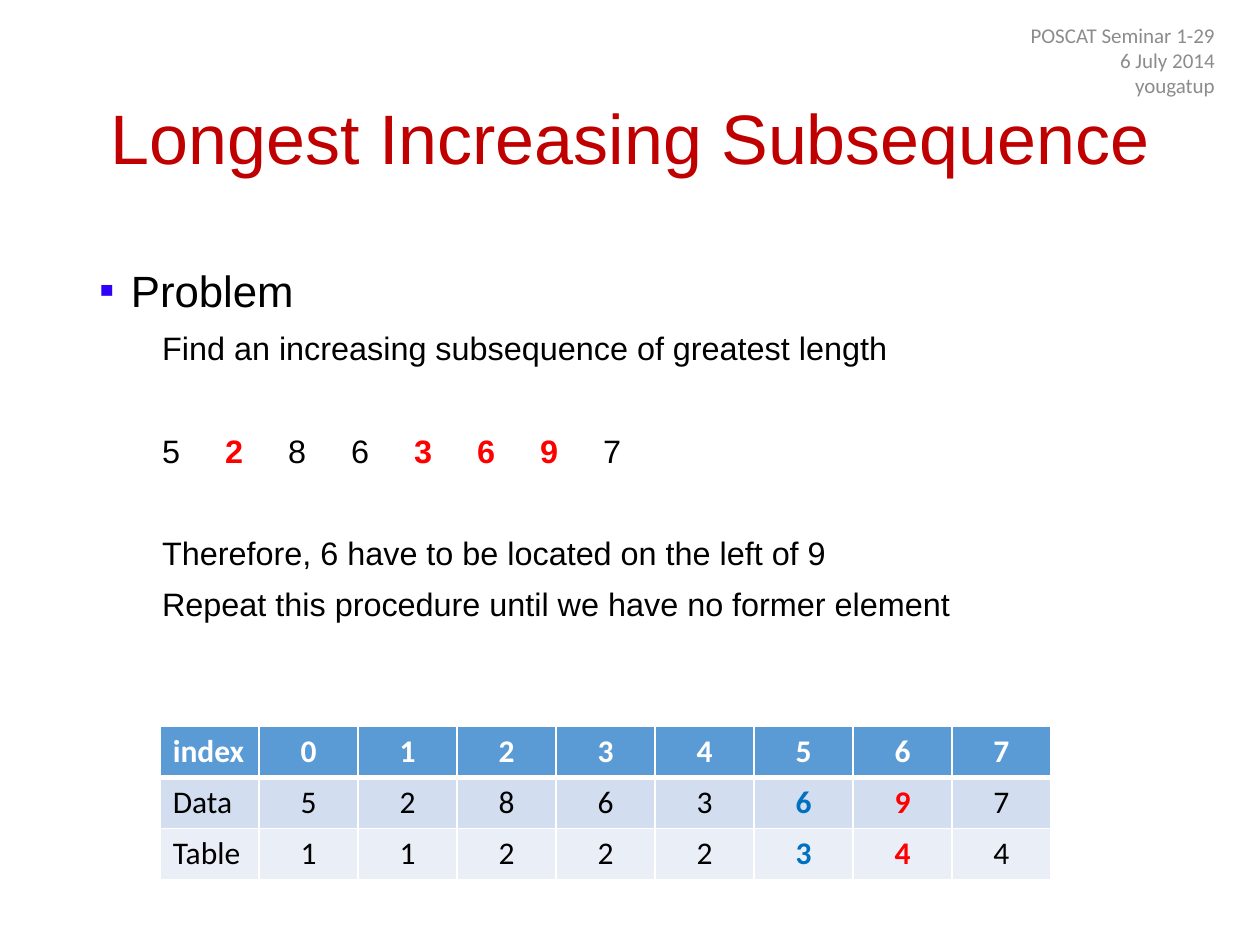
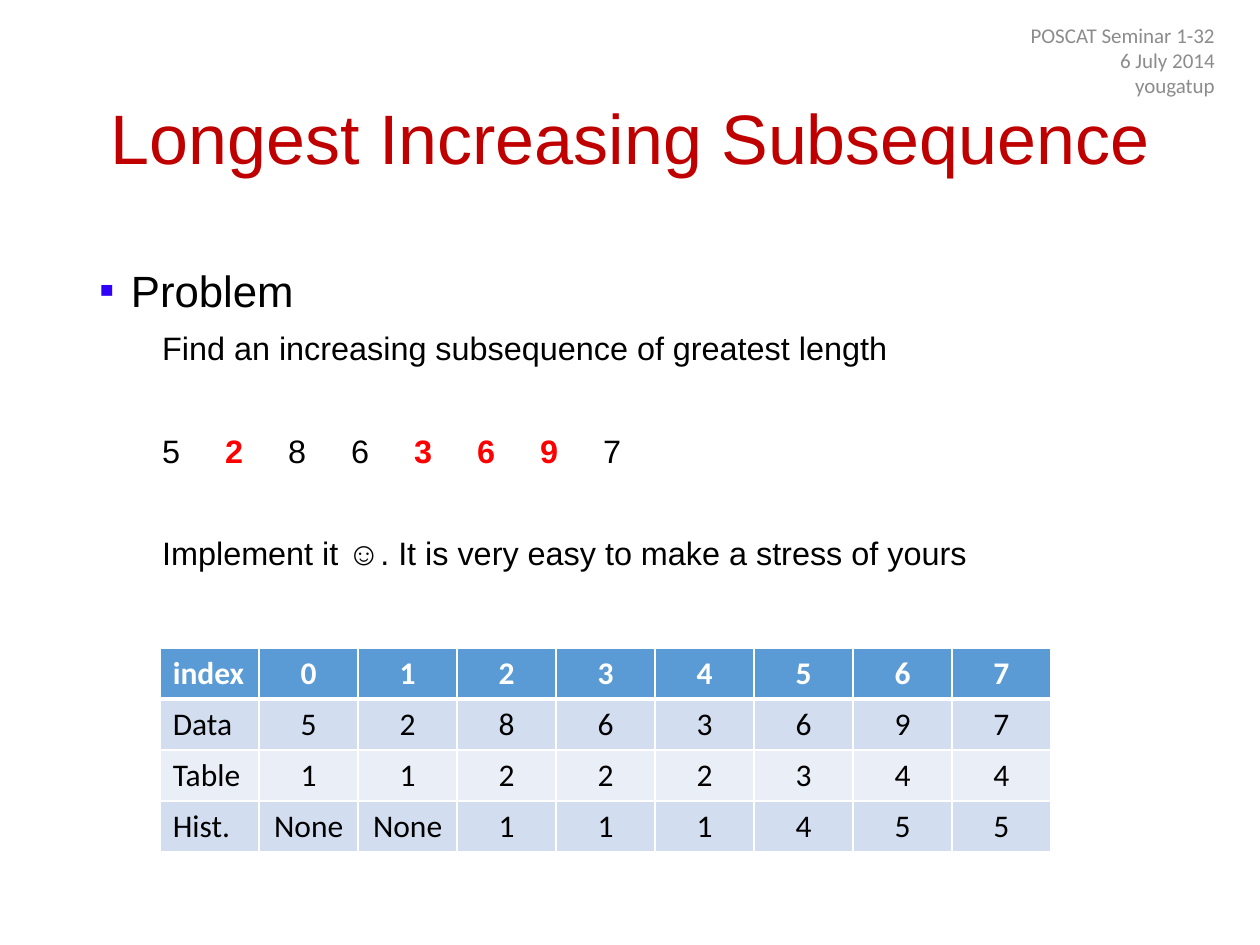
from lxml import etree
from pptx import Presentation
from pptx.dml.color import RGBColor
from pptx.enum.text import MSO_ANCHOR, PP_ALIGN
from pptx.oxml.ns import qn
from pptx.util import Cm, Pt

LEFT, CENTER, RIGHT = PP_ALIGN.LEFT, PP_ALIGN.CENTER, PP_ALIGN.RIGHT
TOP, MIDDLE = MSO_ANCHOR.TOP, MSO_ANCHOR.MIDDLE

# Content
TITLE = "Longest Increasing Subsequence"
HEADING = "Problem"
TASK = "Find an increasing subsequence of greatest length"
SEQUENCE = [5, 2, 8, 6, 3, 6, 9, 7]
CHOSEN = {1, 4, 5, 6}  # positions of the longest subsequence
LENGTHS = [1, 1, 2, 2, 2, 3, 4, 4]
HISTORY = [None, None, 1, 1, 1, 4, 5, 5]
BASE_ROWS = [
    ["index", *range(len(SEQUENCE))],
    ["Data", *SEQUENCE],
    ["Table", *LENGTHS],
]
SLIDES = [
    {
        "number": "1-29",
        "remarks": ["Therefore, 6 have to be located on the left of 9",
                    "Repeat this procedure until we have no former element"],
        "rows": BASE_ROWS,
        "marked_columns": {6: "blue", 7: "red"},
        "table_top": 14.64,
    },
    {
        "number": "1-32",
        "remarks": ["Implement it ☺. It is very easy to make a stress of yours"],
        "rows": BASE_ROWS + [["Hist.", *HISTORY]],
        "marked_columns": {},
        "table_top": 13.06,
    },
]

# Shared style
COLORS = {
    "title": "C00000", "text": "000000", "bullet": "3102F8", "seminar": "8C8C8C",
    "red": "FF0000", "blue": "0070C0", "white": "FFFFFF",
    "header": "5B9BD5", "odd": "D2DEEF", "even": "EAEFF7",
}
HEAD_FONT, TABLE_FONT = "Arial", "Calibri"
BODY_SIZE, BODY_LINE = 18.5, 23.4
CLOSE_GAP, WIDE_GAP = 5.8, 35.2  # points before a paragraph
BODY_INDENT = 1.27
FIRST_TAB, TAB_STEP = 6.35, 1.27
TABLE_LEFT, TABLE_WIDTH, ROW_HEIGHT = 3.23, 17.96, 1.03


def style(paragraph, font, size, color, bold=False):
    for span in paragraph.runs:
        span.font.name = font
        span.font.size = Pt(size)
        span.font.bold = bold
        span.font.color.rgb = RGBColor.from_string(COLORS[color])


def add_box(page, left, top, width, height, anchor):
    box = page.shapes.add_textbox(Cm(left), Cm(top), Cm(width), Cm(height))
    box.text_frame.word_wrap = True
    box.text_frame.vertical_anchor = anchor
    return box.text_frame


def add_title(page):
    frame = add_box(page, 1.75, 1.02, 21.9, 3.68, MIDDLE)
    frame.text = TITLE
    para = frame.paragraphs[0]
    para.alignment, para.line_spacing = CENTER, 0.9
    style(para, HEAD_FONT, 40, "title")


def add_seminar_label(page, number):
    frame = add_box(page, 19.02, 0.51, 5.72, 1.4, MIDDLE)
    frame.text = f"POSCAT Seminar {number}\n6 July 2014\nyougatup"
    for para in frame.paragraphs:
        para.alignment = RIGHT
        style(para, TABLE_FONT, 12, "seminar")


def add_bullet(para):
    props = para._p.get_or_add_pPr()
    props.set("marL", str(Cm(0.64)))
    props.set("indent", str(-Cm(0.64)))
    color = etree.SubElement(props, qn("a:buClr"))
    etree.SubElement(color, qn("a:srgbClr"), val=COLORS["bullet"])
    etree.SubElement(props, qn("a:buFont"), typeface=HEAD_FONT)
    etree.SubElement(props, qn("a:buChar"), char="▪")


def add_body_line(frame, gap, text=""):
    para = frame.add_paragraph()
    para.text = text
    para.level = 1
    para.alignment = LEFT
    para.line_spacing, para.space_before = Pt(BODY_LINE), Pt(gap)
    para._p.get_or_add_pPr().set("indent", "0")
    para._p.pPr.set("marL", str(Cm(BODY_INDENT)))
    style(para, HEAD_FONT, BODY_SIZE, "text")
    return para


def add_sequence(frame):
    para = add_body_line(frame, WIDE_GAP)
    props = para._p.pPr
    props.set("marL", "0")
    tabs = etree.SubElement(props, qn("a:tabLst"))
    for place in range(len(SEQUENCE)):
        position = Cm(FIRST_TAB + place * TAB_STEP)
        etree.SubElement(tabs, qn("a:tab"), pos=str(position), algn="l")
    for value in SEQUENCE:
        para.add_run().text = f"\t{value}"
    style(para, HEAD_FONT, BODY_SIZE, "text")
    for place in CHOSEN:
        font = para.runs[place].font
        font.bold = True
        font.color.rgb = RGBColor.from_string(COLORS["red"])


def add_body(page, remarks):
    frame = add_box(page, 1.75, 5.08, 22.73, 12.09, TOP)
    frame.text = HEADING
    heading = frame.paragraphs[0]
    add_bullet(heading)
    heading.line_spacing = Pt(33)
    style(heading, HEAD_FONT, 25, "text")
    add_body_line(frame, CLOSE_GAP, TASK)
    add_sequence(frame)
    for place, remark in enumerate(remarks):
        add_body_line(frame, CLOSE_GAP if place else WIDE_GAP, remark)


def set_borders(cell, row):
    """White rules, with a thick one under the header row."""
    widths = {"L": 1, "R": 1, "T": 3 if row == 1 else 1, "B": 3 if row == 0 else 1}
    props = cell._tc.get_or_add_tcPr()
    for place, (side, width) in enumerate(widths.items()):
        line = etree.Element(qn(f"a:ln{side}"), w=str(Pt(width)))
        fill = etree.SubElement(line, qn("a:solidFill"))
        etree.SubElement(fill, qn("a:srgbClr"), val=COLORS["white"])
        props.insert(place, line)


def add_values(page, rows, marked_columns, top):
    column_count = len(rows[0])
    table = page.shapes.add_table(
        len(rows), column_count, Cm(TABLE_LEFT), Cm(top),
        Cm(TABLE_WIDTH), Cm(ROW_HEIGHT * len(rows))).table
    for column in table.columns:
        column.width = Cm(TABLE_WIDTH / column_count)
    for row, values in enumerate(rows):
        table.rows[row].height = Cm(ROW_HEIGHT)
        band = "header" if row == 0 else "odd" if row % 2 else "even"
        for column, value in enumerate(values):
            cell = table.cell(row, column)
            cell.text = str(value)
            cell.fill.solid()
            cell.fill.fore_color.rgb = RGBColor.from_string(COLORS[band])
            set_borders(cell, row)
            para = cell.text_frame.paragraphs[0]
            para.alignment = CENTER if column else LEFT
            color = "white" if row == 0 else marked_columns.get(column, "text")
            style(para, TABLE_FONT, 18, color, bold=color != "text")


def main():
    deck = Presentation()
    deck.slide_width, deck.slide_height = Cm(25.4), Cm(19.05)
    for content in SLIDES:
        page = deck.slides.add_slide(deck.slide_layouts[6])
        add_title(page)
        add_body(page, content["remarks"])
        add_seminar_label(page, content["number"])
        add_values(page, content["rows"], content["marked_columns"], content["table_top"])
    deck.save("out.pptx")


if __name__ == "__main__":
    main()
